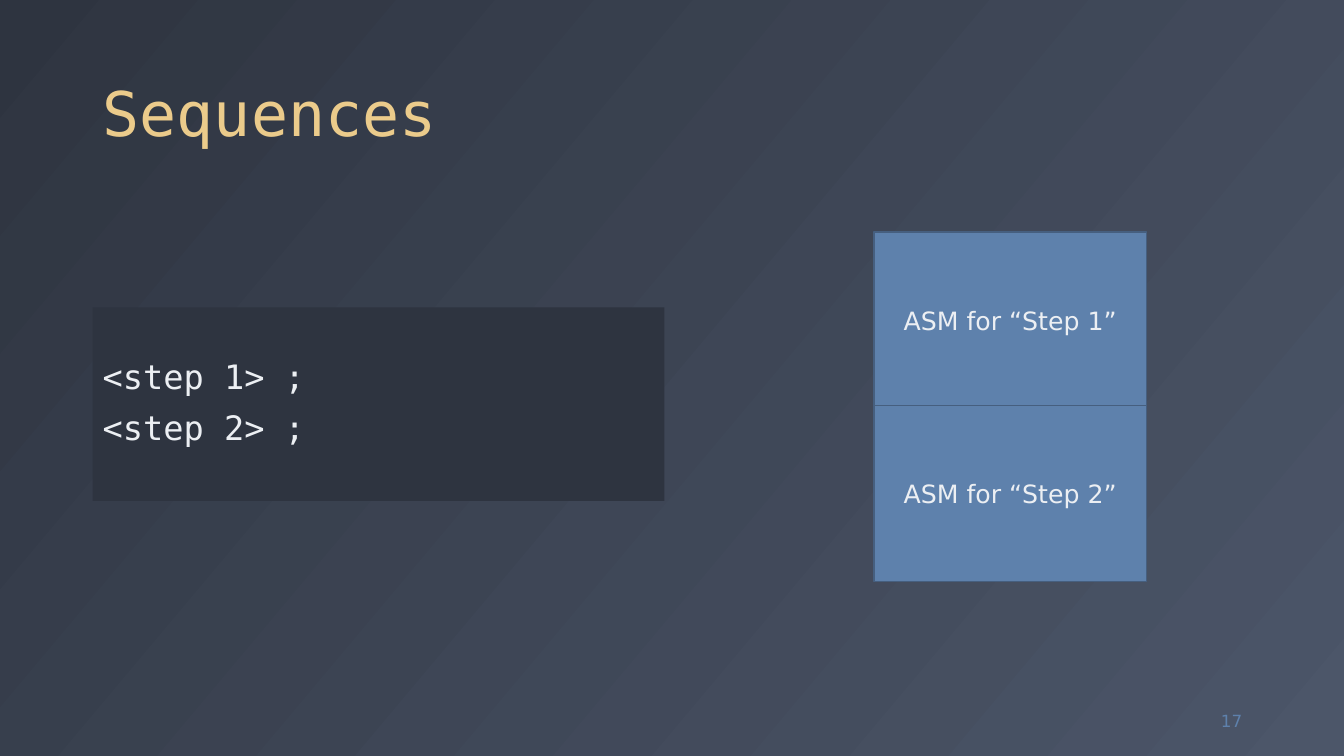
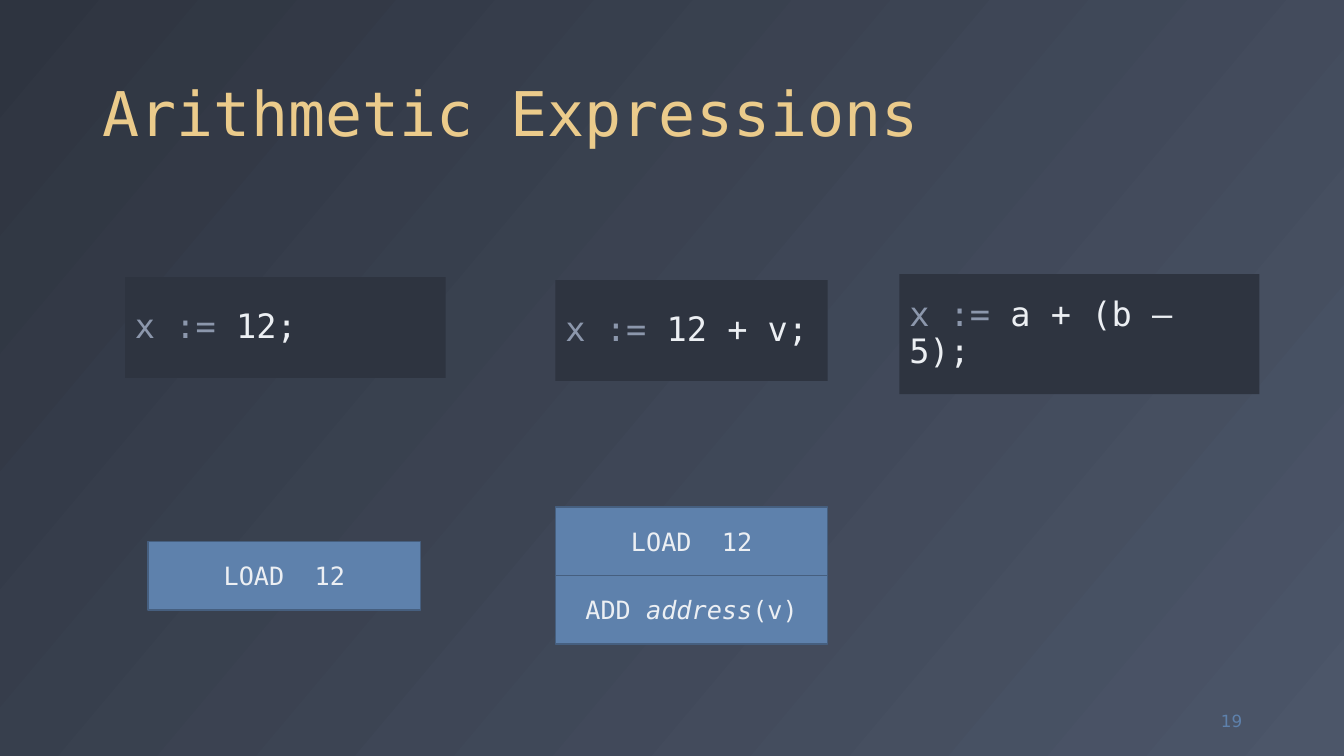
"""Build two slides on translating sequences and arithmetic into assembly."""
from pptx import Presentation
from pptx.dml.color import RGBColor
from pptx.enum.shapes import MSO_SHAPE as SHAPE
from pptx.enum.text import MSO_ANCHOR as ANCHOR, PP_ALIGN as ALIGN
from pptx.util import Inches, Pt

DARK = RGBColor(0x2E, 0x34, 0x40)
SLATE = RGBColor(0x4C, 0x56, 0x69)
YELLOW = RGBColor(0xEB, 0xCB, 0x8B)
WHITE = RGBColor(0xEC, 0xEF, 0xF3)
GREY = RGBColor(0x8C, 0x97, 0xAC)
BLUE = RGBColor(0x5E, 0x81, 0xAC)
EDGE = RGBColor(0x46, 0x5F, 0x7F)
SANS, MONO = "DejaVu Sans", "DejaVu Sans Mono"

STEP_W = 2.7
ASSIGN = ("x := ", GREY)

SLIDES = [
    {
        "title": "Sequences",
        "number": "17",
        "code": [
            ((0.92, 3.05, 5.67, 1.92), [[("<step 1> ;", WHITE)], [("<step 2> ;", WHITE)]]),
        ],
        "stacks": [
            {"at": (8.67, 2.3), "height": 1.75, "pitch": 1.72, "font": SANS,
             "steps": [[("ASM for “Step 1”", False)], [("ASM for “Step 2”", False)]]},
        ],
    },
    {
        "title": "Arithmetic Expressions",
        "number": "19",
        "code": [
            ((1.24, 2.75, 3.18, 1), [[ASSIGN, ("12;", WHITE)]]),
            ((5.51, 2.78, 2.7, 1), [[ASSIGN, ("12 + v;", WHITE)]]),
            ((8.92, 2.72, 3.57, 1.19), [[ASSIGN, ("a + (b – 5);", WHITE)]]),
        ],
        "stacks": [
            {"at": (1.47, 5.37), "height": 0.68, "pitch": 0.68, "font": MONO,
             "steps": [[("LOAD  12", False)]]},
            {"at": (5.51, 5.03), "height": 0.68, "pitch": 0.68, "font": MONO,
             "steps": [[("LOAD  12", False)],
                       [("ADD ", False), ("address", True), ("(v)", False)]]},
        ],
    },
]


def add_run(p, text, size, font, color, italic=False):
    r = p.add_run()
    r.text = text
    r.font.size = Pt(size)
    r.font.name = font
    r.font.color.rgb = color
    r.font.italic = italic


def add_label(s, box, text, size, font, color, anchor, align, spacing=1.0):
    tf = s.shapes.add_textbox(*map(Inches, box)).text_frame
    tf.word_wrap = True
    tf.vertical_anchor = anchor
    p = tf.paragraphs[0]
    p.alignment = align
    p.line_spacing = spacing
    add_run(p, text, size, font, color)


def add_panel(s, kind, box, fill, edge=None):
    sp = s.shapes.add_shape(kind, *map(Inches, box))
    sp.shadow.inherit = False
    sp.fill.solid()
    sp.fill.fore_color.rgb = fill
    if edge is None:
        sp.line.fill.background()
    else:
        sp.line.color.rgb = edge
        sp.line.width = Pt(1)
    tf = sp.text_frame
    tf.word_wrap = True
    tf.vertical_anchor = ANCHOR.MIDDLE
    return tf


def add_code(s, box, lines):
    tf = add_panel(s, SHAPE.RECTANGLE, box, DARK)
    for i, line in enumerate(lines):
        p = tf.add_paragraph() if i else tf.paragraphs[0]
        p.alignment = ALIGN.LEFT
        p.line_spacing = 0.9
        if i:
            p.space_before = Pt(10)
        for text, color in line:
            add_run(p, text, 24, MONO, color)


def add_stack(s, stack):
    left, top = stack["at"]
    for i, step in enumerate(stack["steps"]):
        box = (left, top + i * stack["pitch"], STEP_W, stack["height"])
        tf = add_panel(s, SHAPE.FLOWCHART_PROCESS, box, BLUE, EDGE)
        p = tf.paragraphs[0]
        p.alignment = ALIGN.CENTER
        for text, italic in step:
            add_run(p, text, 18, stack["font"], WHITE, italic)


def set_background(master):
    fill = master.background.fill
    fill.gradient()
    fill.gradient_angle = 320
    for stop, color in zip(fill.gradient_stops, (DARK, SLATE)):
        stop.color.rgb = color


def main():
    prs = Presentation()
    prs.slide_width, prs.slide_height = Inches(13.33), Inches(7.5)
    set_background(prs.slide_master)
    for content in SLIDES:
        s = prs.slides.add_slide(prs.slide_layouts[6])
        add_label(s, (0.92, 0.18, 11.5, 1.36), content["title"], 44, MONO,
                  YELLOW, ANCHOR.BOTTOM, ALIGN.LEFT, 0.9)
        add_label(s, (11.59, 6.95, 0.83, 0.4), content["number"], 12, SANS,
                  BLUE, ANCHOR.MIDDLE, ALIGN.RIGHT)
        for box, lines in content["code"]:
            add_code(s, box, lines)
        for stack in content["stacks"]:
            add_stack(s, stack)
    prs.save("out.pptx")


if __name__ == "__main__":
    main()
